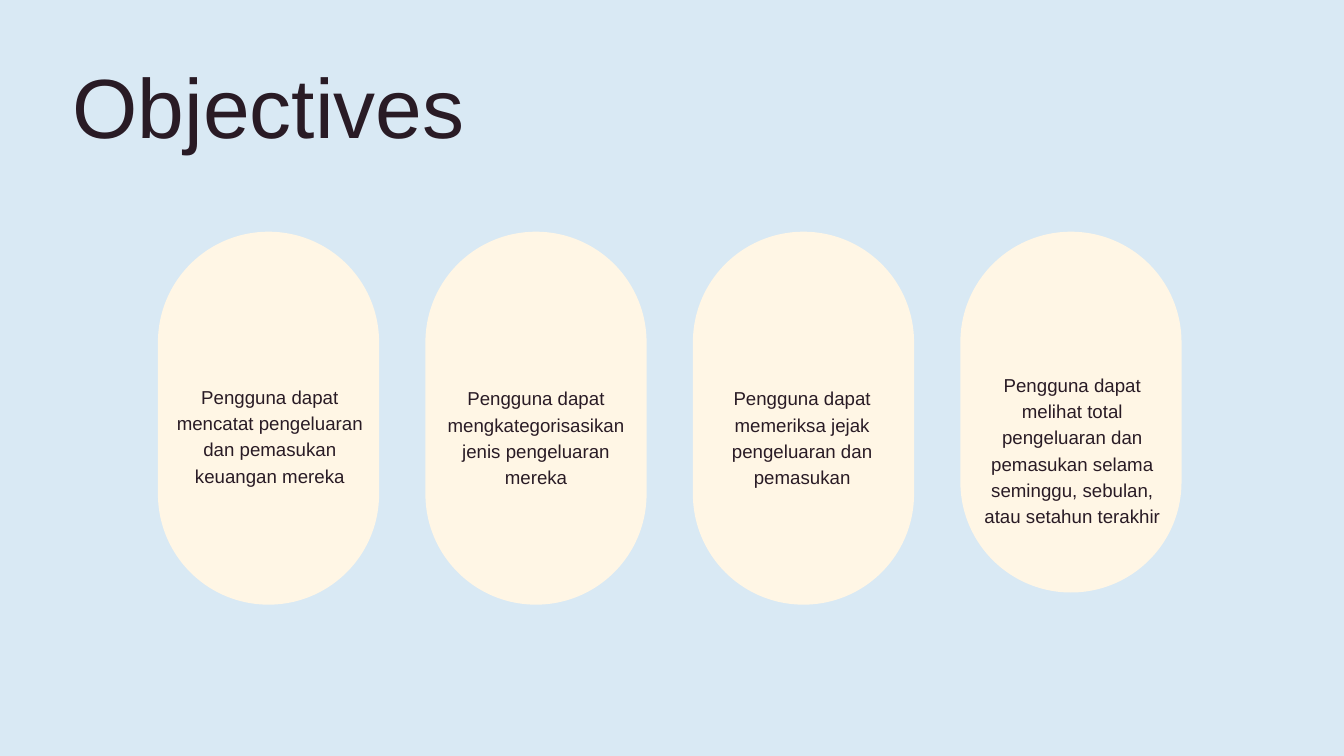
import pptx
import pptx.dml.color
import pptx.enum.shapes
import pptx.enum.text
import pptx.util
from pptx.util import Cm

ALIGN = pptx.enum.text.PP_ALIGN


def color(value):
    return pptx.dml.color.RGBColor.from_string(value)


def write(frame, text, *, font, size, ink, spacing, align):
    frame.margin_left = frame.margin_right = 0
    frame.margin_top = frame.margin_bottom = 0
    frame.word_wrap = True
    frame.auto_size = pptx.enum.text.MSO_AUTO_SIZE.NONE
    frame.vertical_anchor = pptx.enum.text.MSO_ANCHOR.TOP
    paragraph = frame.paragraphs[0]
    paragraph.alignment = align
    paragraph.line_spacing = pptx.util.Pt(spacing)
    run = paragraph.add_run()
    run.text = text
    run.font.name = font
    run.font.size = pptx.util.Pt(size)
    run.font.color.rgb = color(ink)


class Deck:
    font = "Arial"
    ink = "291B25"
    cream = "FFF6E5"
    sky = "D9E9F4"

    def __init__(self):
        self.presentation = pptx.Presentation()
        self.presentation.slide_width = Cm(50.8)
        self.presentation.slide_height = Cm(28.58)
        self.slide = None

    def add_slide(self):
        layout = self.presentation.slide_layouts.get_by_name("Title Only")
        self.slide = self.presentation.slides.add_slide(layout)
        background = self.slide.background.fill
        background.solid()
        background.fore_color.rgb = color(self.sky)

    def title(self, text, left, top, width, height):
        heading = self.slide.shapes.title
        heading.left, heading.top = Cm(left), Cm(top)
        heading.width, heading.height = Cm(width), Cm(height)
        write(heading.text_frame, text, font=self.font, size=90,
              ink=self.ink, spacing=96.3, align=ALIGN.LEFT)

    def capsule(self, left, top, width, height):
        capsule = self.slide.shapes.add_shape(
            pptx.enum.shapes.MSO_SHAPE.ROUNDED_RECTANGLE,
            Cm(left), Cm(top), Cm(width), Cm(height))
        capsule.adjustments[0] = 0.5
        capsule.shadow.inherit = False
        capsule.fill.solid()
        capsule.fill.fore_color.rgb = color(self.cream)
        capsule.line.fill.background()

    def caption(self, text, left, top, width, height):
        caption = self.slide.shapes.add_textbox(
            Cm(left), Cm(top), Cm(width), Cm(height))
        write(caption.text_frame, text, font=self.font, size=20,
              ink=self.ink, spacing=28, align=ALIGN.CENTER)


def main():
    objectives = [
        ("Pengguna dapat mencatat pengeluaran dan pemasukan keuangan mereka",
         14.1, 6.68, 14.45, 5.05),
        ("Pengguna dapat mengkategorisasikan jenis pengeluaran mereka",
         14.1, 16.74, 14.5, 4.06),
        ("Pengguna dapat memeriksa jejak pengeluaran dan pemasukan",
         14.1, 26.8, 14.5, 4.06),
        ("Pengguna dapat melihat total pengeluaran dan pemasukan selama "
         "seminggu, sebulan, atau setahun terakhir",
         13.64, 37.01, 14, 7.01),
    ]
    deck = Deck()
    deck.add_slide()
    deck.title("Objectives", 2.74, 2.46, 34.98, 4.19)
    for index, (objective, length, left, top, height) in enumerate(objectives):
        deck.capsule(5.97 + index * 10.11, 8.76, 8.36, length)
        deck.caption(objective, left, top, 7.04, height)
    deck.presentation.save("out.pptx")


if __name__ == "__main__":
    main()
